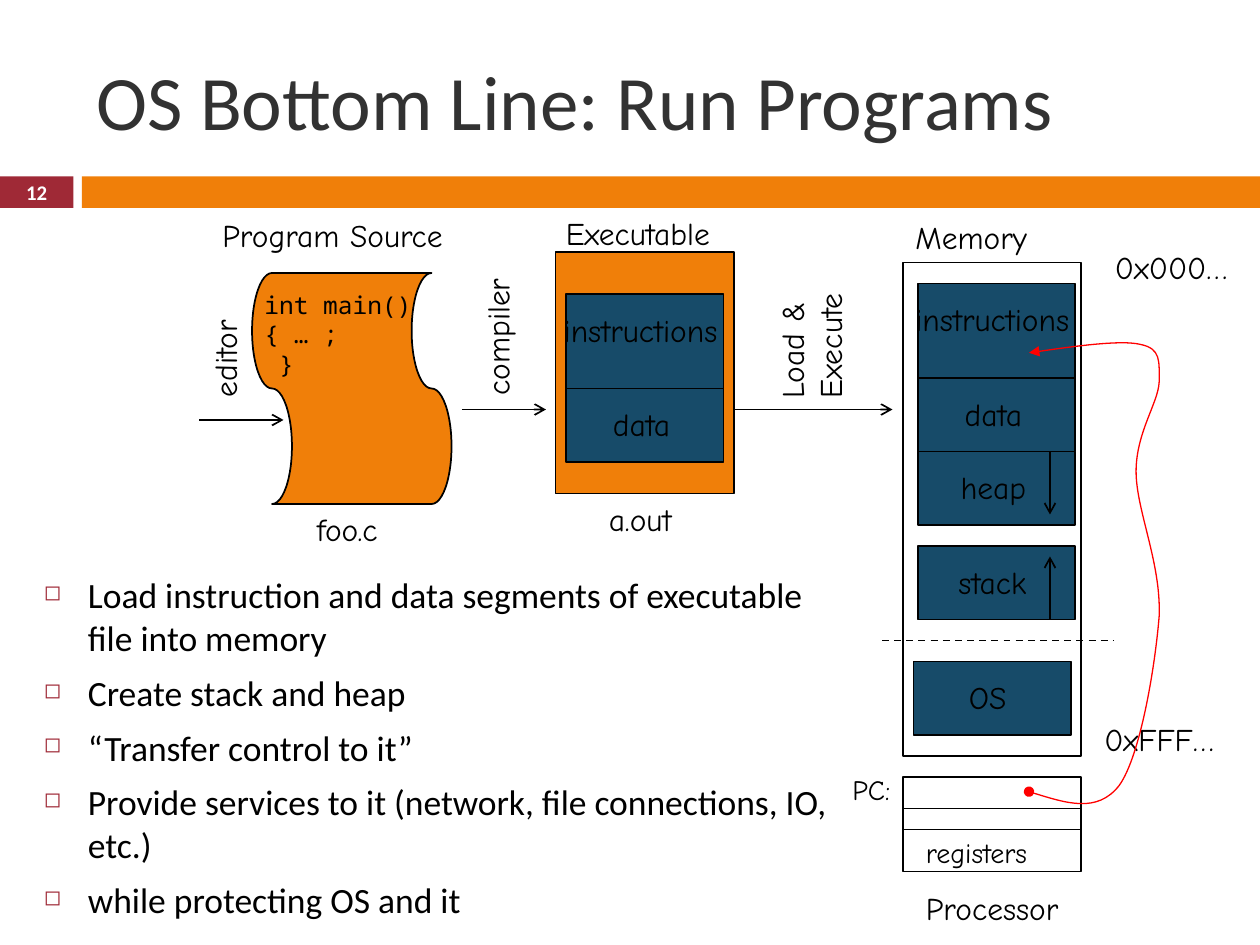
from lxml import etree
from pptx import Presentation
from pptx.dml.color import RGBColor
from pptx.enum import dml, shapes, text
from pptx.oxml import ns
from pptx.util import Pt

PX = 7620
COLORS = {
    "orange": "F07F09", "crimson": "9F2936", "navy": "174B69", "title": "323232",
    "black": "000000", "white": "FFFFFF", "red": "FF0000",
}
RECT = shapes.MSO_SHAPE.RECTANGLE
TAPE = shapes.MSO_SHAPE.FLOWCHART_PUNCHED_TAPE

deck = Presentation()
deck.slide_width, deck.slide_height = 1200 * PX, 900 * PX
page = deck.slides.add_slide(deck.slide_layouts[6])


def write(words, left, top, width, height, size=18, font="Comic Neue", color="black",
          turn=0, wrap=False, grow=True, bold=False, align=None, middle=False, bullet=None):
    box = page.shapes.add_textbox(left * PX, top * PX, width * PX, height * PX)
    box.rotation = turn
    frame = box.text_frame
    frame.word_wrap = wrap
    frame.auto_size = text.MSO_AUTO_SIZE.SHAPE_TO_FIT_TEXT if grow else text.MSO_AUTO_SIZE.NONE
    frame.vertical_anchor = text.MSO_ANCHOR.MIDDLE if middle else text.MSO_ANCHOR.TOP
    for index, line in enumerate(words.split("\n")):
        para = frame.paragraphs[0] if index == 0 else frame.add_paragraph()
        para.alignment = align
        if bullet:
            props = para._p.get_or_add_pPr()
            props.set("marL", str(42 * PX))
            props.set("indent", str(-42 * PX))
            tint = etree.SubElement(props, ns.qn("a:buClr"))
            etree.SubElement(tint, ns.qn("a:srgbClr"), val=COLORS["crimson"])
            etree.SubElement(props, ns.qn("a:buSzPct"), val="60000")
            etree.SubElement(props, ns.qn("a:buChar"), char=bullet)
            if index:
                para.space_before = Pt(7)
        span = para.add_run()
        span.text = line
        span.font.size, span.font.name, span.font.bold = Pt(size), font, bold
        span.font.color.rgb = RGBColor.from_string(COLORS[color])


def paint(shape, fill=None, line="black", weight=1):
    shape.shadow.inherit = False
    if fill:
        shape.fill.solid()
        shape.fill.fore_color.rgb = RGBColor.from_string(COLORS[fill])
    else:
        shape.fill.background()
    if line:
        shape.line.color.rgb = RGBColor.from_string(COLORS[line])
        shape.line.width = Pt(weight)
    else:
        shape.line.fill.background()


for kind, left, top, width, height, turn, fill, line in [
    (RECT, 0, 168, 70, 30, 0, "crimson", None),
    (RECT, 78, 168, 1122, 30, 0, "orange", None),
    (TAPE, 225, 275, 220, 190, 90, "orange", "black"),
    (RECT, 529, 240, 170, 230, 0, "orange", "black"),
    (RECT, 860, 250, 170, 470, 0, None, "black"),
    (RECT, 860, 740, 170, 90, 0, None, "black"),
    (RECT, 860, 770, 170, 20, 0, None, "black"),
]:
    block = page.shapes.add_shape(kind, left * PX, top * PX, width * PX, height * PX)
    block.rotation = turn
    paint(block, fill, line)

write("OS Bottom Line: Run Programs", 80, 30, 1070, 130, size=44, font="Calibri",
      color="title", wrap=True, grow=False, middle=True)
write("12", 0, 167, 70, 32, size=11.9, font="Calibri", color="white", wrap=True,
      grow=False, bold=True, align=text.PP_ALIGN.CENTER, middle=True)
steps = [
    "Load instruction and data segments of executable file into memory",
    "Create stack and heap",
    "“Transfer control to it”",
    "Provide services to it (network, file connections, IO, etc.)",
    "while protecting OS and it",
]
write("\n".join(steps), 30, 540, 770, 302, size=20.3, font="Calibri",
      wrap=True, grow=False, bullet="◻")
write("int main()\n{ … ;\n }", 240, 270, 166, 97, size=14, font="Noto Sans Mono")

for label, left, top, width in [
    ("Program Source", 200, 200, 245), ("Executable", 527, 198, 174),
    ("Memory", 860, 202, 133), ("foo.c", 290, 480, 90), ("a.out", 568, 470, 91),
    ("0x000…", 1050, 230, 137), ("0xFFF…", 1040, 680, 142), ("Processor", 870, 841, 161),
]:
    write(label, left, top, width, 48)
for label, left, top, width in [("registers", 870, 790, 127), ("PC:", 800, 730, 70)]:
    write(label, left, top, width, 44, size=16)
for label, left, top, width, height in [
    ("editor", 164, 316, 100, 48), ("compiler", 404, 295, 139, 48),
    ("Load & Execute", 698, 274, 149, 85),
]:
    write(label, left, top, width, height, turn=270, wrap=height > 48)

for label, left, top, height, label_width in [
    ("instructions", 539, 280, 90, 178), ("data", 539, 370, 70, 83),
    ("instructions", 874, 270, 90, 178), ("data", 874, 360, 70, 83),
    ("heap", 874, 430, 70, 91), ("stack", 874, 520, 70, 95), ("OS", 870, 630, 70, 68),
]:
    segment = page.shapes.add_shape(RECT, left * PX, top * PX, 150 * PX, height * PX)
    paint(segment, "navy")
    write(label, left + (150 - label_width) // 2, top + 10, label_width, 48)

for x1, y1, x2, y2, dashed in [
    (190, 400, 270, 400, False), (440, 390, 520, 390, False), (700, 390, 850, 390, False),
    (1000, 430, 1000, 490, False), (1000, 590, 1000, 530, False), (840, 610, 1060, 610, True),
]:
    arrow = page.shapes.add_connector(shapes.MSO_CONNECTOR.STRAIGHT,
                                      x1 * PX, y1 * PX, x2 * PX, y2 * PX)
    arrow.line.color.rgb = RGBColor.from_string(COLORS["black"])
    arrow.line.width = Pt(1)
    if dashed:
        arrow.line.dash_style = dml.MSO_LINE.DASH
    else:
        etree.SubElement(arrow.line._get_or_add_ln(), ns.qn("a:tailEnd"), type="arrow")
    etree.SubElement(arrow._element.spPr, ns.qn("a:effectLst"))

jump_points = [
    (1013, 764), (1045, 775), (1066, 748), (1086, 720), (1100, 636), (1104, 587),
    (1106, 536), (1082, 486), (1082, 449), (1082, 412), (1103, 384), (1104, 364),
    (1104, 344), (1106, 332), (1086, 328), (1066, 323), (980, 336),
]
builder = page.shapes.build_freeform(980, 754, scale=PX)
builder.add_line_segments(jump_points + [(980, 336)], close=False)
jump = builder.convert_to_shape()
corners = list(jump._element.iter(ns.qn("a:lnTo")))
for start in range(0, len(corners), 3):
    curve = etree.Element(ns.qn("a:cubicBezTo"))
    corners[start].addprevious(curve)
    for corner in corners[start:start + 3]:
        curve.append(corner[0])
        corner.getparent().remove(corner)
paint(jump, line="red", weight=0.75)
for end, style in [("headEnd", "oval"), ("tailEnd", "triangle")]:
    etree.SubElement(jump.line._get_or_add_ln(), ns.qn("a:" + end), type=style)

deck.save("out.pptx")
